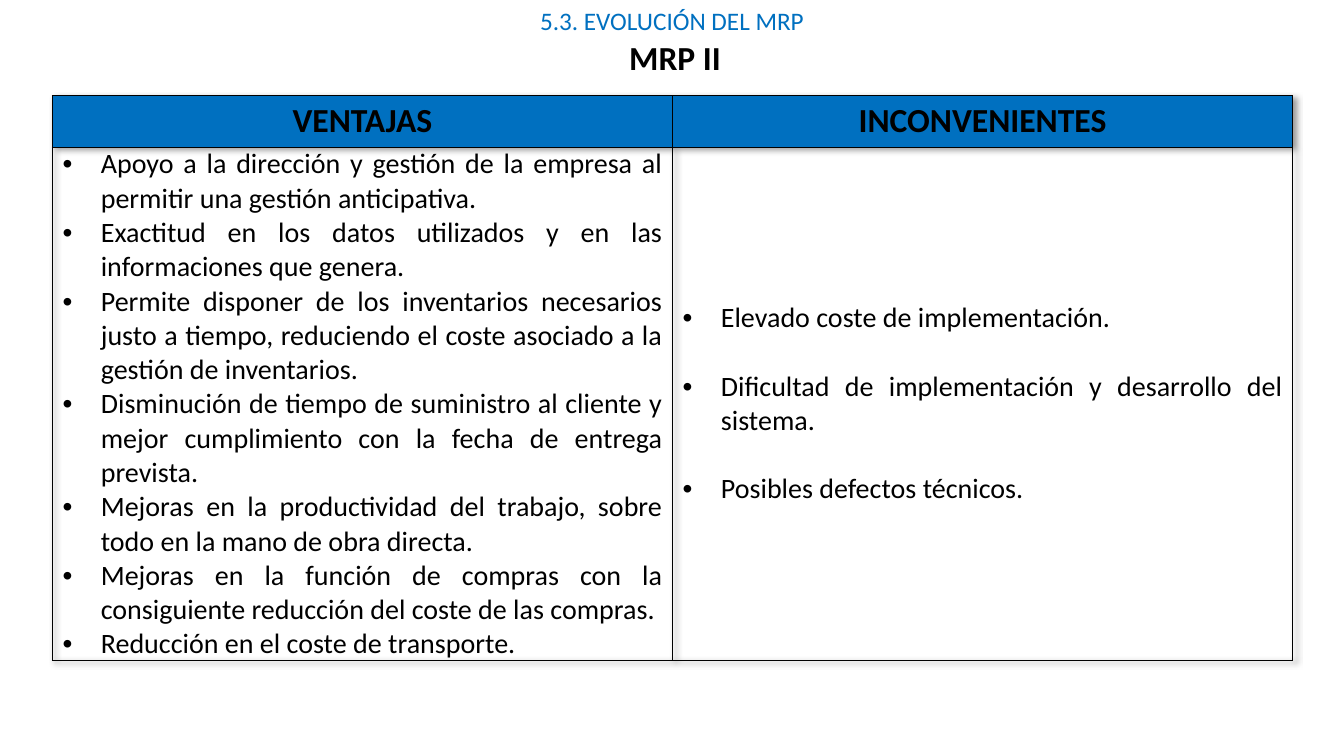
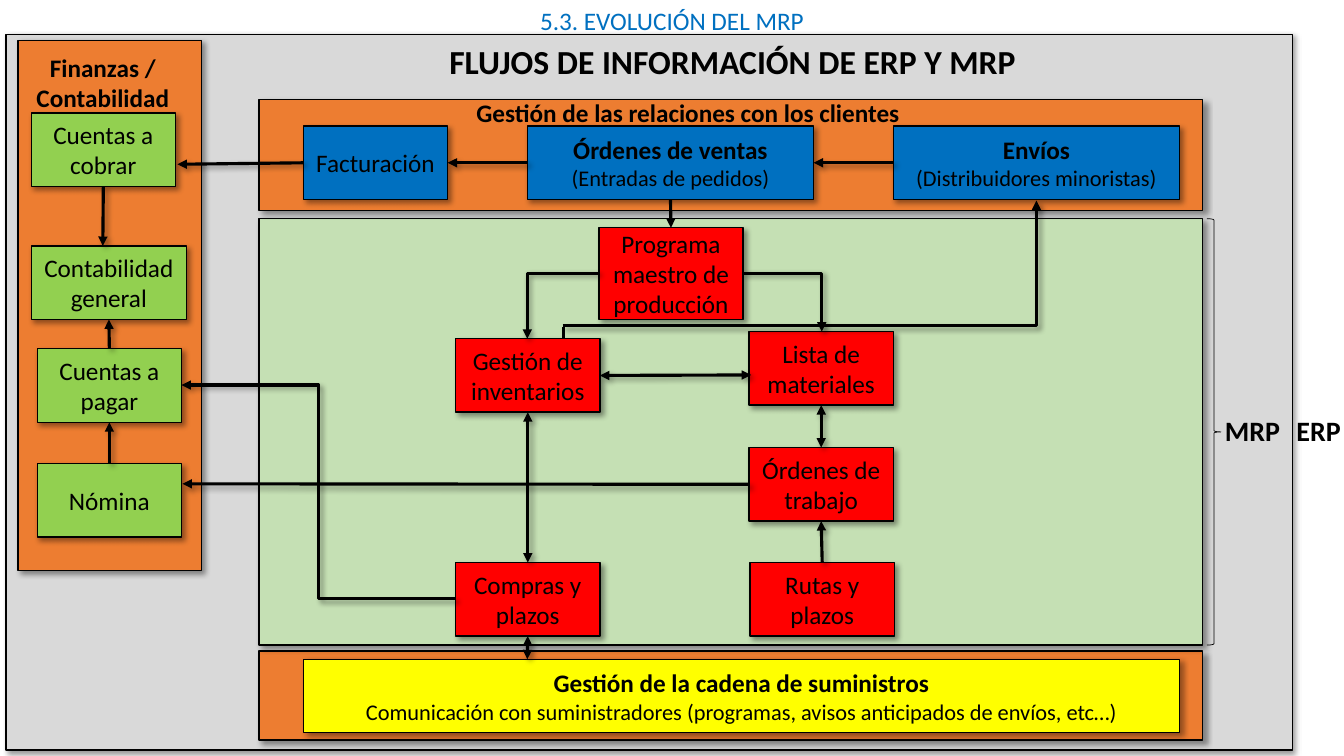
from lxml.etree import SubElement
from pptx import Presentation
from pptx.dml.color import RGBColor
from pptx.enum.shapes import MSO_CONNECTOR, MSO_SHAPE
from pptx.enum.text import MSO_ANCHOR, PP_ALIGN
from pptx.oxml.ns import qn
from pptx.util import Inches, Pt

FONT = "Calibri"
BLACK, BLUE, ORANGE, RED = "000000", "0070C0", "ED7D31", "FF0000"
GREEN, PALE_GREEN, YELLOW, GRAY = "92D050", "C5E0B4", "FFFF00", "D9D9D9"
TOP, LEFT, BOTTOM, RIGHT = range(4)
BOX_WIDTH, BOX_HEIGHT = 1.43, 0.73

ADVANTAGES = [
    "Apoyo a la dirección y gestión de la empresa al permitir una gestión anticipativa.",
    "Exactitud en los datos utilizados y en las informaciones que genera.",
    "Permite disponer de los inventarios necesarios justo a tiempo, reduciendo el coste asociado a la gestión de inventarios.",
    "Disminución de tiempo de suministro al cliente y mejor cumplimiento con la fecha de entrega prevista.",
    "Mejoras en la productividad del trabajo, sobre todo en la mano de obra directa.",
    "Mejoras en la función de compras con la consiguiente reducción del coste de las compras.",
    "Reducción en el coste de transporte.",
]
DRAWBACKS = [
    "Elevado coste de implementación.",
    "Dificultad de implementación y desarrollo del sistema.",
    "Posibles defectos técnicos.",
]
PANELS = [
    ((0.06, 0.34, 12.76, 7.1), GRAY),
    ((2.57, 6.46, 9.36, 0.88), ORANGE),
    ((2.57, 2.17, 9.36, 4.23), PALE_GREEN),
    ((2.57, 0.99, 9.36, 1.1), ORANGE),
    ((0.18, 0.4, 1.82, 5.26), ORANGE),
]
PLAIN_BOXES = {
    "billing": (3.01, 1.25, BOX_WIDTH, BOX_HEIGHT, BLUE, ["Facturación"]),
    "schedule": (5.94, 2.26, BOX_WIDTH, 0.91, RED, ["Programa maestro de", "producción"]),
    "inventory": (4.52, 3.36, BOX_WIDTH, BOX_HEIGHT, RED, ["Gestión de inventarios"]),
    "materials": (7.43, 3.29, BOX_WIDTH, BOX_HEIGHT, RED, ["Lista de materiales"]),
    "work orders": (7.43, 4.44, BOX_WIDTH, BOX_HEIGHT, RED, ["Órdenes de trabajo"]),
    "purchases": (4.52, 5.58, BOX_WIDTH, BOX_HEIGHT, RED, ["Compras y plazos"]),
    "routes": (7.44, 5.58, BOX_WIDTH, BOX_HEIGHT, RED, ["Rutas y plazos"]),
    "receivables": (0.31, 1.12, BOX_WIDTH, BOX_HEIGHT, GREEN, ["Cuentas a cobrar"]),
    "payroll": (0.37, 4.6, BOX_WIDTH, BOX_HEIGHT, GREEN, ["Nómina"]),
    "payables": (0.37, 3.46, BOX_WIDTH, BOX_HEIGHT, GREEN, ["Cuentas a pagar"]),
    "accounting": (0.31, 2.44, 1.54, BOX_HEIGHT, GREEN, ["Contabilidad general"]),
}
DETAIL_BOXES = {
    "sales": (5.23, 1.25, 2.84, BLUE, "Órdenes de ventas", "(Entradas de pedidos)"),
    "shipping": (8.86, 1.25, 2.84, BLUE, "Envíos", "(Distribuidores minoristas)"),
    "supply": (3.01, 6.54, 8.69, YELLOW, "Gestión de la cadena de suministros",
               "Comunicación con suministradores (programas, avisos anticipados de envíos, etc…)"),
}
STRAIGHT_LINKS = [
    (("shipping", LEFT), ("sales", RIGHT), "tail", True),
    (("sales", LEFT), ("billing", RIGHT), "tail", True),
    (("billing", LEFT), (1.76, 1.63), "tail", True),
    (("receivables", BOTTOM), (1.02, 2.44), "tail", True),
    (("payroll", TOP), ("payables", BOTTOM), "tail", True),
    (("payables", TOP), ("accounting", BOTTOM), "tail", True),
    (("sales", BOTTOM), ("schedule", TOP), "tail", False),
    ((5.59, 3.24), (5.59, 3.35), "", False),
    (("inventory", RIGHT), (7.45, 3.72), "head tail", True),
    (("materials", BOTTOM), ("work orders", TOP), "head tail", True),
    (("routes", TOP), ("work orders", BOTTOM), "tail", True),
    (("inventory", BOTTOM), ("purchases", TOP), "head tail", True),
    (("purchases", BOTTOM), (5.23, 6.54), "head tail", True),
    (("work orders", LEFT), (1.81, 4.8), "tail", True),
]
ELBOW_LINKS = [
    ((5.94, 2.71), (5.23, 3.36), "bentConnector2"),
    ((7.37, 2.71), (8.15, 3.29), "bentConnector2"),
    ((5.58, 3.23), (10.28, 1.99), "bentConnector2"),
    ((4.52, 5.94), (1.8, 3.82), "bentConnector3"),
]


def color(value):
    """Turn a hex string into a colour."""
    return RGBColor.from_string(value)


def inches(values):
    """Turn numbers into lengths."""
    return [Inches(value) for value in values]


def write(frame, lines, align=PP_ALIGN.CENTER, ink=BLACK):
    """Fill a text frame with (text, size, bold) lines."""
    frame.word_wrap = True
    for index, (text, size, bold) in enumerate(lines):
        paragraph = frame.paragraphs[0] if index == 0 else frame.add_paragraph()
        paragraph.alignment = align
        run = paragraph.add_run()
        run.text = text
        run.font.name, run.font.size, run.font.bold = FONT, Pt(size), bold
        run.font.color.rgb = color(ink)


def add_effects(parent, shadow=True):
    """Append an effect list, with the soft lower-right shadow if wanted."""
    effects = SubElement(parent, qn("a:effectLst"))
    if shadow:
        outer = SubElement(effects, qn("a:outerShdw"), blurRad=str(Pt(4)), dist=str(Pt(3)),
                           dir="2700000", algn="tl", rotWithShape="0")
        ink = SubElement(outer, qn("a:srgbClr"), val=BLACK)
        SubElement(ink, qn("a:alpha"), val="40000")
    return effects


def add_label(slide, place, lines, align=PP_ALIGN.CENTER):
    """Add a text box."""
    write(slide.shapes.add_textbox(*inches(place)).text_frame, lines, align)


def add_box(slide, place, fill, lines=()):
    """Add an outlined rectangle with a shadow and centred text."""
    shape = slide.shapes.add_shape(MSO_SHAPE.RECTANGLE, *inches(place))
    shape.fill.solid()
    shape.fill.fore_color.rgb = color(fill)
    shape.line.color.rgb = color(BLACK)
    shape.line.width = Pt(1)
    add_effects(shape.element.spPr)
    shape.text_frame.vertical_anchor = MSO_ANCHOR.MIDDLE
    write(shape.text_frame, lines)
    return shape


def add_line(slide, kind, start, end, arrows, shadow=True):
    """Add a black connector with arrowheads at the named ends."""
    connector = slide.shapes.add_connector(kind, *inches(start + end))
    connector.line.color.rgb = color(BLACK)
    connector.line.width = Pt(2.25)
    outline = connector.element.spPr.find(qn("a:ln"))
    for name in arrows.split():
        SubElement(outline, qn(f"a:{name}End"), type="triangle")
    add_effects(connector.element.spPr, shadow)
    return connector


def add_link(slide, boxes, start, end, arrows, shadow):
    """Add a straight connector between box sides or free points."""
    points = [(0, 0) if point[0] in boxes else point for point in (start, end)]
    connector = add_line(slide, MSO_CONNECTOR.STRAIGHT, *points, arrows, shadow)
    for point, connect in ((start, connector.begin_connect), (end, connector.end_connect)):
        if point[0] in boxes:
            connect(boxes[point[0]], point[1])


def add_elbow(slide, start, end, preset):
    """Add a bent connector that leaves its start horizontally."""
    connector = add_line(slide, MSO_CONNECTOR.ELBOW, start, end, "tail")
    connector.element.spPr.find(qn("a:prstGeom")).set("prst", preset)


def add_brace(slide, place):
    """Add a thin right brace."""
    brace = slide.shapes.add_shape(MSO_SHAPE.RIGHT_BRACE, *inches(place))
    brace.shadow.inherit = False
    brace.fill.background()
    brace.line.color.rgb = color(BLACK)
    brace.line.width = Pt(0.5)


def add_slide(presentation, heading, place):
    """Add a slide with the section title; return it and its heading task."""
    slide = presentation.slides.add_slide(presentation.slide_layouts[5])
    title = slide.shapes.title
    title.left, title.top, title.width, title.height = inches((0, 0, 13.33, 0.4))
    title.text_frame.vertical_anchor = MSO_ANCHOR.TOP
    write(title.text_frame, [("5.3. EVOLUCIÓN DEL MRP", 18, False)], ink=BLUE)
    return slide, lambda: add_label(slide, place, [(heading, 24, True)])


def add_borders(cell):
    """Draw a black line on each side of a cell."""
    properties = cell._tc.get_or_add_tcPr()
    for side in "LRTB":
        border = SubElement(properties, qn(f"a:ln{side}"), w=str(Pt(1)))
        fill = SubElement(border, qn("a:solidFill"))
        SubElement(fill, qn("a:srgbClr"), val=BLACK)


def fill_list_cell(cell, items, gap):
    """Write a justified bullet list into a cell."""
    cell.fill.background()
    cell.vertical_anchor = MSO_ANCHOR.MIDDLE
    cell.margin_top = cell.margin_bottom = 0
    write(cell.text_frame, [(item, 20, False) for item in items], PP_ALIGN.JUSTIFY)
    for index, paragraph in enumerate(cell.text_frame.paragraphs):
        properties = paragraph._p.get_or_add_pPr()
        properties.set("marL", str(Inches(0.38)))
        properties.set("indent", str(Inches(-0.38)))
        if index and gap:
            paragraph.space_before = Pt(gap)
        SubElement(properties, qn("a:buFont"), typeface="Arial")
        SubElement(properties, qn("a:buChar"), char="•")


def add_comparison(slide, columns):
    """Add the table with one (header, items, gap) per column."""
    frame = slide.shapes.add_table(2, len(columns), *inches((0.52, 0.95, 12.3, 5.6)))
    table = frame.table
    table.horz_banding = False
    table.rows[0].height, table.rows[1].height = inches((0.51, 5.09))
    properties = table._tbl.tblPr
    properties.insert(0, add_effects(properties))
    for index, (header, items, gap) in enumerate(columns):
        head, body = table.cell(0, index), table.cell(1, index)
        for cell in (head, body):
            add_borders(cell)
        head.fill.solid()
        head.fill.fore_color.rgb = color(BLUE)
        write(head.text_frame, [(header, 24, True)])
        fill_list_cell(body, items, gap)


def build_comparison(presentation):
    """Build the slide of advantages and drawbacks."""
    slide, add_heading = add_slide(presentation, "MRP II", (2.14, 0.32, 9.11, 0.5))
    add_heading()
    add_comparison(slide, [("VENTAJAS", ADVANTAGES, 0), ("INCONVENIENTES", DRAWBACKS, 24.4)])


def build_flows(presentation):
    """Build the slide of information flows."""
    slide, add_heading = add_slide(
        presentation, "FLUJOS DE INFORMACIÓN DE ERP Y MRP", (3.04, 0.36, 8.45, 0.5))
    for place, fill in PANELS:
        add_box(slide, place, fill)
    add_heading()
    boxes = {}
    for name, (*place, fill, texts) in PLAIN_BOXES.items():
        boxes[name] = add_box(slide, place, fill, [(text, 18, False) for text in texts])
    for name, (left, top, width, fill, main_text, detail) in DETAIL_BOXES.items():
        boxes[name] = add_box(slide, (left, top, width, BOX_HEIGHT), fill,
                              [(main_text, 18, True), (detail, 16, False)])
    add_label(slide, (0.22, 0.47, 1.6, 0.71),
              [("Finanzas /", 18, True), ("Contabilidad", 18, True)])
    add_label(slide, (3.97, 0.92, 5.71, 0.4),
              [("Gestión de las relaciones con los clientes", 18, True)])
    add_brace(slide, (11.97, 2.17, 0.14, 4.23))
    for text, left in (("MRP", 12.05), ("ERP", 12.76)):
        add_label(slide, (left, 4.05, 0.75, 0.44), [(text, 20, True)], PP_ALIGN.LEFT)
    for link in STRAIGHT_LINKS:
        add_link(slide, boxes, *link)
    for elbow in ELBOW_LINKS:
        add_elbow(slide, *elbow)


def main():
    """Build and save the presentation."""
    presentation = Presentation()
    presentation.slide_width, presentation.slide_height = inches((13.33, 7.5))
    build_comparison(presentation)
    build_flows(presentation)
    presentation.save("out.pptx")


if __name__ == "__main__":
    main()
